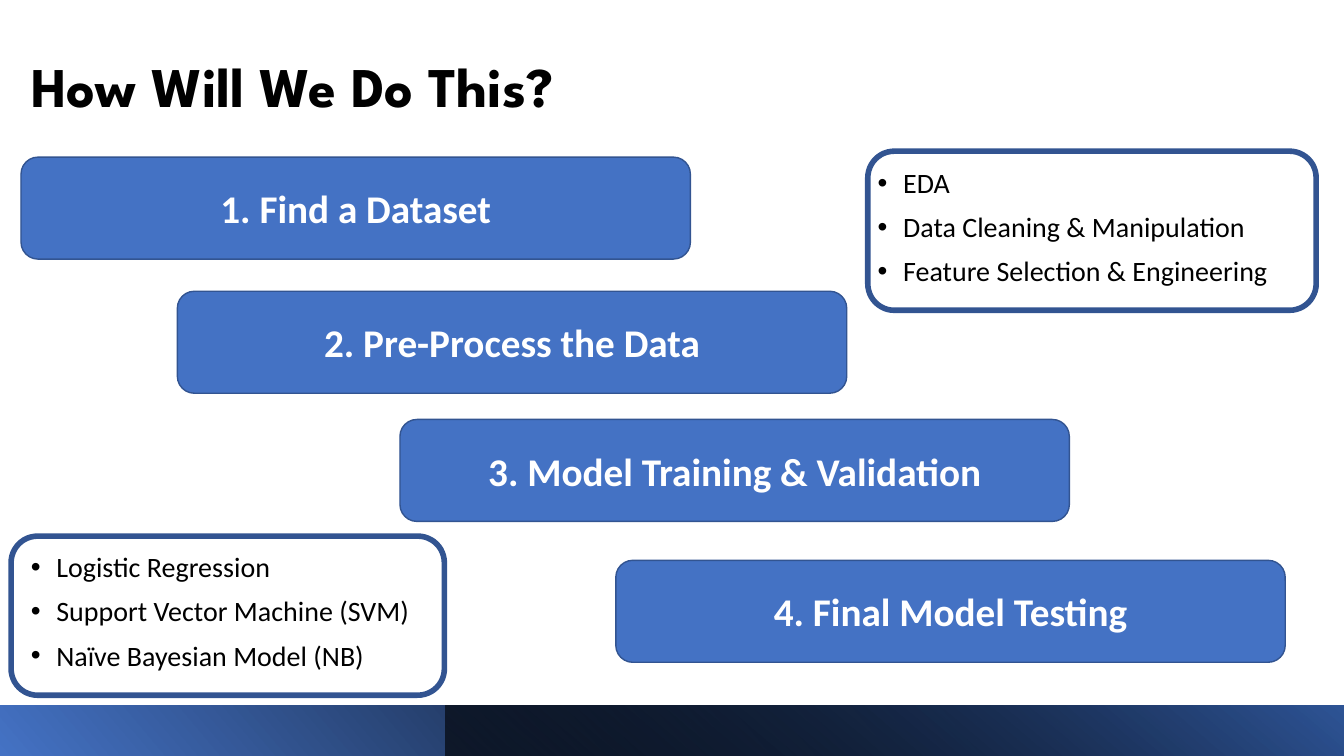
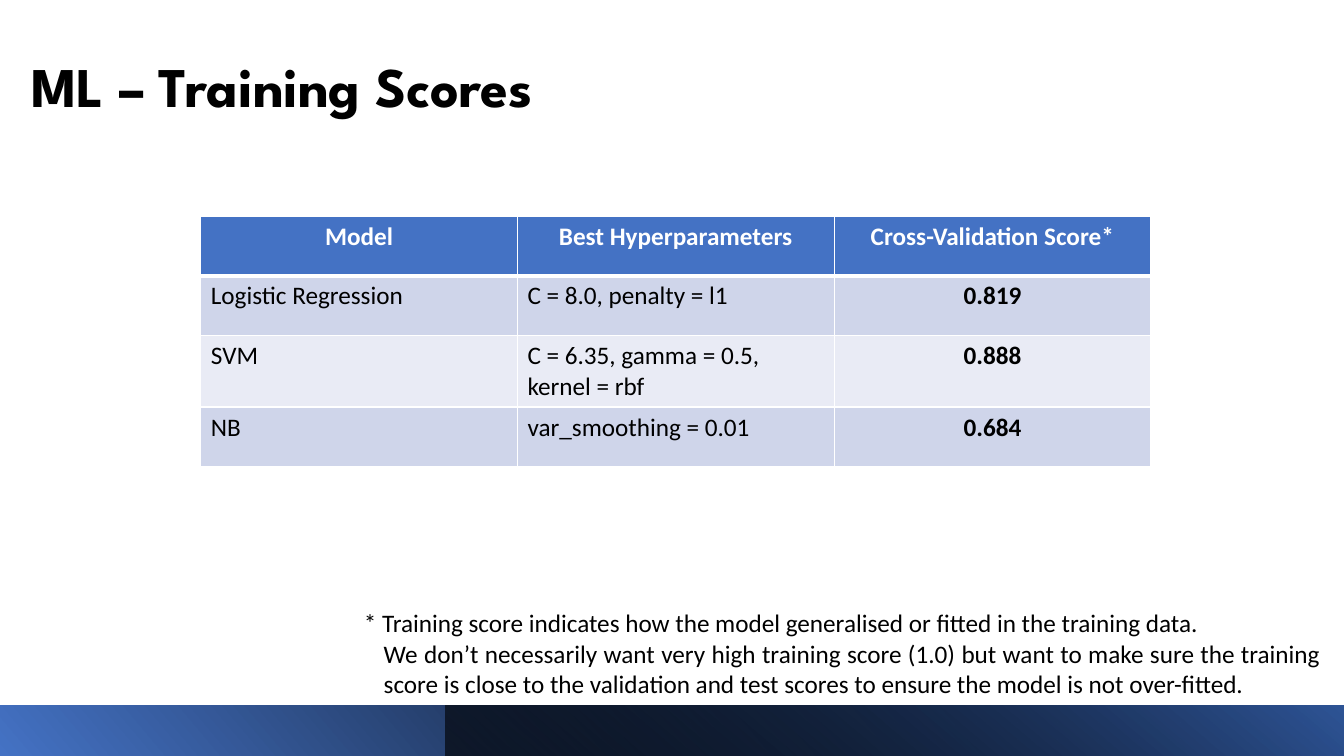
from lxml.etree import SubElement
from pptx import Presentation
from pptx.dml.color import RGBColor
from pptx.enum.shapes import MSO_SHAPE as Shape
from pptx.enum.text import MSO_ANCHOR as Anchor, MSO_AUTO_SIZE as AutoSize, PP_ALIGN as Align
from pptx.oxml.ns import qn
from pptx.util import Cm, Pt

BLACK, WHITE = "000000", "FFFFFF"
BLUE, OUTLINE, DEEP_BLUE = "4472C4", "325491", "2F5597"
ROW_TINTS = ("CFD5EA", "E9EBF5")
TITLE_FONT, BODY_FONT = "League Spartan", "Calibri"
WIDTH, HEIGHT = 33.87, 19.05
BAND_HEIGHT = 1.27
OVERLAY_LEFT = 11.22


def rgb(value):
    return RGBColor.from_string(value)


def box(left, top, width, height):
    return Cm(left), Cm(top), Cm(width), Cm(height)


class Deck:
    """Holds the presentation, its style and the slide being filled."""

    def __init__(self):
        self.prs = Presentation()
        self.prs.slide_width, self.prs.slide_height = Cm(WIDTH), Cm(HEIGHT)
        self.slide = None

    def new_slide(self, heading):
        self.slide = self.prs.slides.add_slide(self.prs.slide_layouts[5])
        title = self.slide.shapes.title
        title.left, title.top, title.width, title.height = box(0.53, 0.36, 32.97, 2.77)
        frame = title.text_frame
        frame.auto_size, frame.vertical_anchor = AutoSize.NONE, Anchor.BOTTOM
        paragraph = frame.paragraphs[0]
        paragraph.line_spacing = 0.9
        self.styled_run(paragraph, heading, 40, bold=True, font=TITLE_FONT)
        self.footer_band(0, 40, (0, BLUE, 100), (0.78, BLACK, 100))
        self.footer_band(OVERLAY_LEFT, 50, (0, BLACK, 63), (1, DEEP_BLUE, 100))

    def styled_run(self, paragraph, text, size, color=BLACK, bold=False,
                   align=Align.LEFT, font=BODY_FONT):
        paragraph.alignment = align
        run = paragraph.add_run()
        run.text = text
        run.font.name, run.font.size, run.font.bold = font, Pt(size), bold
        run.font.color.rgb = rgb(color)

    def footer_band(self, left, angle, *stops):
        """Draw a gradient band to the right edge; a stop is (position, colour, opacity %)."""
        band = self.slide.shapes.add_shape(
            Shape.RECTANGLE, *box(left, HEIGHT - BAND_HEIGHT, WIDTH - left, BAND_HEIGHT))
        band.shadow.inherit = False
        band.line.fill.background()
        band.fill.gradient()
        band.fill.gradient_angle = angle
        for stop, (position, color, _) in zip(band.fill.gradient_stops, stops):
            stop.position, stop.color.rgb = position, rgb(color)
        for node, (_, _, opacity) in zip(band._element.iter(qn("a:srgbClr")), stops):
            if opacity < 100:
                SubElement(node, qn("a:alpha"), val=str(opacity * 1000))

    def rounded(self, shapes, place, line_width, fill=None):
        panel = shapes.add_shape(Shape.ROUNDED_RECTANGLE, *place)
        panel.shadow.inherit = False
        if fill:
            panel.fill.solid()
            panel.fill.fore_color.rgb = rgb(fill)
        else:
            panel.fill.background()
        panel.line.color.rgb, panel.line.width = rgb(OUTLINE), Pt(line_width)
        return panel

    def step(self, left, top, text):
        panel = self.rounded(self.slide.shapes, box(left, top, 16.87, 2.57), 1, BLUE)
        panel.text_frame.vertical_anchor = Anchor.MIDDLE
        self.styled_run(panel.text_frame.paragraphs[0], text, 28, WHITE, True, Align.CENTER)

    def text_box(self, shapes, place):
        frame = shapes.add_textbox(*place).text_frame
        frame.word_wrap = True
        return frame

    def framed_list(self, text_place, frame_place, items):
        group = self.slide.shapes.add_group_shape()
        frame = self.text_box(group.shapes, text_place)
        for index, item in enumerate(items):
            paragraph = frame.add_paragraph() if index else frame.paragraphs[0]
            paragraph.line_spacing, paragraph.space_before = 0.9, Pt(10)
            self.styled_run(paragraph, item, 20)
            props = paragraph._p.get_or_add_pPr()
            props.set("marL", str(Cm(0.64)))
            props.set("indent", str(Cm(-0.64)))
            SubElement(props, qn("a:buFont"), typeface="Arial")
            SubElement(props, qn("a:buChar"), char="•")
        self.rounded(group.shapes, frame_place, 4)

    def table(self, left, top, column_width, row_height, rows):
        """Add a table with a header row and a bold, centred last column."""
        columns = len(rows[0])
        table = self.slide.shapes.add_table(
            len(rows), columns,
            *box(left, top, column_width * columns, row_height * len(rows))).table
        for r, row in enumerate(rows):
            for c, text in enumerate(row):
                cell = table.cell(r, c)
                header, strong = r == 0, r == 0 or c == columns - 1
                cell.fill.solid()
                cell.fill.fore_color.rgb = rgb(BLUE if header else ROW_TINTS[(r - 1) % 2])
                self.styled_run(cell.text_frame.paragraphs[0], text, 18,
                                WHITE if header else BLACK, strong,
                                Align.CENTER if strong else Align.LEFT)
                self.cell_borders(cell, top=3 if r == 1 else 1, bottom=3 if header else 1)

    def cell_borders(self, cell, top, bottom):
        props = cell._tc.get_or_add_tcPr()
        for index, (side, width) in enumerate(
                (("lnL", 1), ("lnR", 1), ("lnT", top), ("lnB", bottom))):
            border = SubElement(props, qn(f"a:{side}"), w=str(Pt(width)))
            SubElement(SubElement(border, qn("a:solidFill")), qn("a:srgbClr"), val=WHITE)
            props.insert(index, border)

    def footnote(self, place, lead, detail):
        frame = self.text_box(self.slide.shapes, place)
        self.styled_run(frame.paragraphs[0], lead, 18, align=Align.JUSTIFY)
        paragraph = frame.add_paragraph()
        self.styled_run(paragraph, detail, 18, align=Align.JUSTIFY)
        paragraph._p.get_or_add_pPr().set("marL", str(Cm(0.5)))


def main():
    deck = Deck()

    deck.new_slide("How Will We Do This?")
    for left, top, text in (
            (0.53, 3.96, "1. Find a Dataset"),
            (4.47, 7.34, "2. Pre-Process the Data"),
            (10.08, 10.57, "3. Model Training & Validation"),
            (15.52, 14.12, "4. Final Model Testing")):
        deck.step(left, top, text)
    deck.framed_list(
        box(0.53, 13.82, 11.5, 4.14), box(0.28, 13.51, 10.92, 4.01),
        ("Logistic Regression", "Support Vector Machine (SVM)", "Naïve Bayesian Model (NB)"))
    deck.framed_list(
        box(21.87, 4.14, 11.5, 4.14), box(21.87, 3.81, 11.3, 4.01),
        ("EDA", "Data Cleaning & Manipulation", "Feature Selection & Engineering"))

    deck.new_slide("ML – Training Scores")
    deck.table(5.06, 5.45, 7.98, 1.5, (
        ("Model", "Best Hyperparameters", "Cross-Validation Score*"),
        ("Logistic Regression", "C = 8.0, penalty = l1", "0.819"),
        ("SVM", "C = 6.35, gamma = 0.5, kernel = rbf", "0.888"),
        ("NB", "var_smoothing = 0.01", "0.684")))
    deck.footnote(
        box(8.92, 15.19, 24.61, 2.57),
        "* Training score indicates how the model generalised or fitted in the training data.",
        "We don’t necessarily want very high training score (1.0) but want to make sure the "
        "training score is close to the validation and test scores to ensure the model is "
        "not over-fitted.")

    deck.prs.save("out.pptx")


if __name__ == "__main__":
    main()
